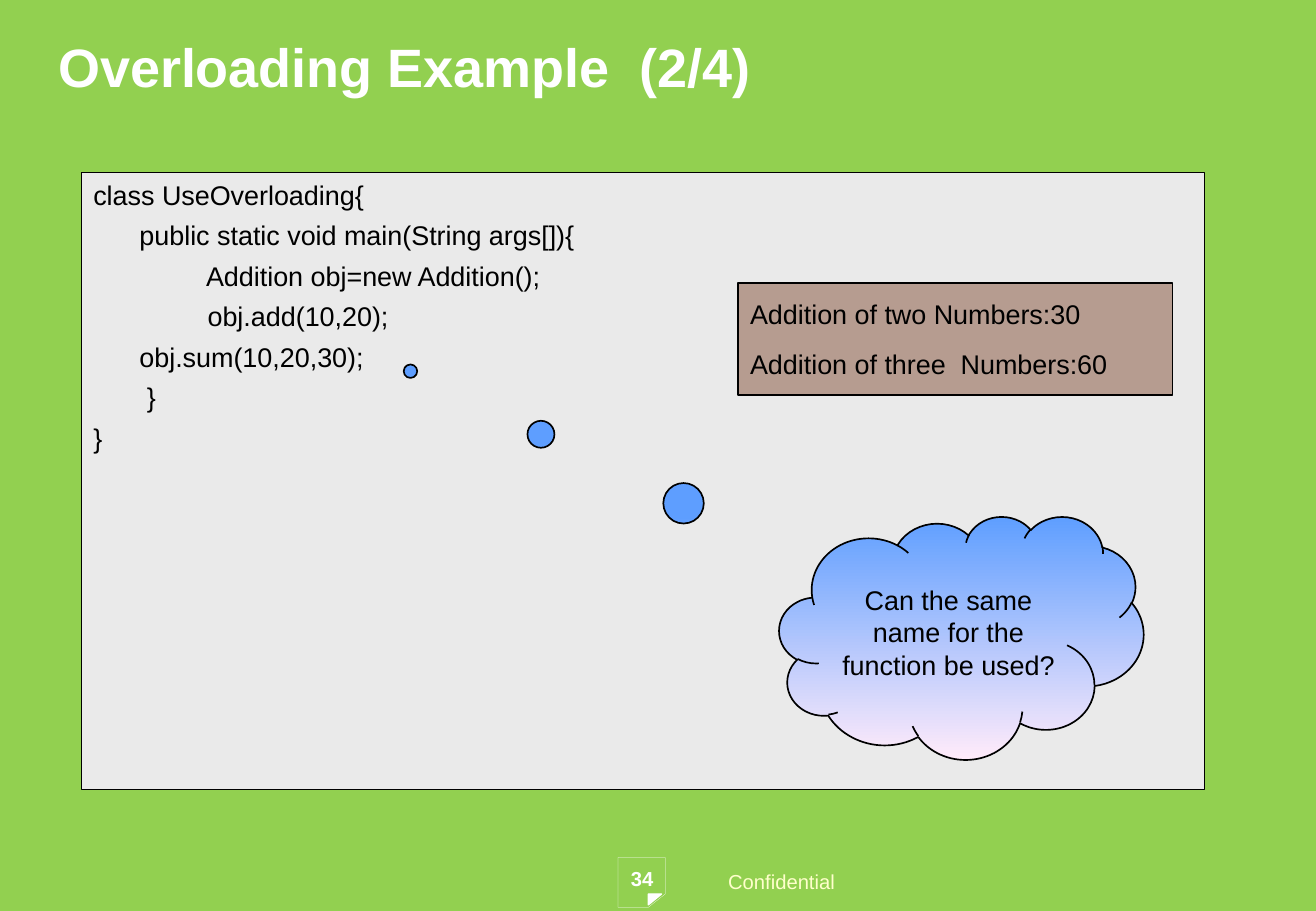
from lxml import etree
from pptx import Presentation
from pptx.dml.color import RGBColor
from pptx.enum.shapes import MSO_SHAPE
from pptx.enum.text import MSO_ANCHOR, PP_ALIGN
from pptx.oxml.ns import qn
from pptx.util import Inches, Pt

RECTANGLE, CLOUD = MSO_SHAPE.RECTANGLE, MSO_SHAPE.CLOUD_CALLOUT
TOP, MIDDLE = MSO_ANCHOR.TOP, MSO_ANCHOR.MIDDLE
LEFT, CENTER = PP_ALIGN.LEFT, PP_ALIGN.CENTER

GREEN = RGBColor(0x92, 0xD0, 0x50)
WHITE = RGBColor(0xFF, 0xFF, 0xFF)
BLACK = RGBColor(0, 0, 0)
CREAM = RGBColor(0xFF, 0xFF, 0xCC)
GREY = RGBColor(0xEA, 0xEA, 0xEA)
BROWN = RGBColor(0xB6, 0x9C, 0x90)
BLUE = RGBColor(0x5E, 0x9E, 0xFF)
PINK = RGBColor(0xFF, 0xEB, 0xFA)

TITLE = "Overloading Example  (2/4)"
CODE = [
    "class UseOverloading{",
    "   \tpublic static void main(String args[]){",
    "     \t\t Addition obj=new Addition();",
    "     \t\t obj.add(10,20);",
    "      \tobj.sum(10,20,30);",
    "  \t }",
    "}",
]
OUTPUT = ["Addition of two Numbers:30", "Addition of three  Numbers:60"]
QUESTION = "Can the same name for the function be used?"
PAGE_NUMBER = "34"
FOOTER = "Confidential"

CODE_INDENT = Inches(0.38)
TAB_STOPS = range(8)
PAGE_FRAME = [(5.48, 7.36), (5.48, 7.06), (5.09, 7.06), (5.09, 7.47), (5.34, 7.47)]
PAGE_FOLD = [(5.34, 7.45), (5.34, 7.36), (5.45, 7.36)]


def write(shape, lines, size=16, color=BLACK, bold=False, align=LEFT,
          anchor=TOP, gap=0, side_inset=0.1):
    frame = shape.text_frame
    frame.word_wrap = True
    frame.vertical_anchor = anchor
    frame.margin_left = frame.margin_right = Inches(side_inset)
    for number, line in enumerate(lines):
        paragraph = frame.add_paragraph() if number else frame.paragraphs[0]
        paragraph.alignment = align
        if number:
            paragraph.space_before = Pt(gap)
        run = paragraph.add_run()
        run.text = line
        for name, value in {"name": "Arial", "size": Pt(size), "bold": bold}.items():
            setattr(run.font, name, value)
        run.font.color.rgb = color
    return frame


def add_text(slide, place, lines, **style):
    return write(slide.shapes.add_textbox(*map(Inches, place)), lines, **style)


def add_box(slide, kind, place, line_width, fill=None):
    box = slide.shapes.add_shape(kind, *map(Inches, place))
    box.shadow.inherit = False
    if fill is not None:
        box.fill.solid()
        box.fill.fore_color.rgb = fill
    box.line.color.rgb = BLACK
    box.line.width = Pt(line_width)
    return box


def add_outline(slide, points, line_width, fill=None):
    corners = [(Inches(x), Inches(y)) for x, y in points]
    builder = slide.shapes.build_freeform(*corners[0])
    builder.add_line_segments(corners[1:], close=True)
    outline = builder.convert_to_shape()
    outline.shadow.inherit = False
    if fill is None:
        outline.fill.background()
    else:
        outline.fill.solid()
        outline.fill.fore_color.rgb = fill
    outline.line.color.rgb = WHITE
    outline.line.width = Pt(line_width)


def indent_code(frame):
    """Give each code line a hanging indent and one tab stop per inch."""
    for paragraph in frame.paragraphs:
        properties = paragraph._p.get_or_add_pPr()
        properties.set("marL", str(CODE_INDENT))
        properties.set("indent", str(-CODE_INDENT))
        tabs = etree.SubElement(properties, qn("a:tabLst"))
        for stop in TAB_STOPS:
            etree.SubElement(tabs, qn("a:tab"), pos=str(Inches(stop)), algn="l")


def shade_text(frame):
    """Add a drop shadow to the letters."""
    for run in frame.paragraphs[0].runs:
        effects = etree.Element(qn("a:effectLst"))
        shadow = etree.SubElement(effects, qn("a:outerShdw"), dist="17961", dir="2700000")
        etree.SubElement(shadow, qn("a:srgbClr"), val=str(BLACK))
        run._r.get_or_add_rPr().find(qn("a:solidFill")).addnext(effects)


def main():
    deck = Presentation()
    deck.slide_width, deck.slide_height = Inches(10.84), Inches(7.5)
    slide = deck.slides.add_slide(deck.slide_layouts[6])
    slide.background.fill.solid()
    slide.background.fill.fore_color.rgb = GREEN

    add_outline(slide, PAGE_FRAME, 0.11)
    add_outline(slide, PAGE_FOLD, 0.75, WHITE)
    shade_text(add_text(slide, (5.9, 7.11, 1.46, 0.3), [FOOTER], size=12, color=CREAM))
    shade_text(add_text(slide, (4.83, 7.08, 0.92, 0.4), [PAGE_NUMBER],
                        size=12, color=WHITE, bold=True, align=CENTER))
    add_text(slide, (0.38, 0.26, 10.16, 0.56), [TITLE],
             size=32, color=WHITE, bold=True, anchor=MIDDLE)

    code_panel = add_box(slide, RECTANGLE, (0.67, 1.42, 9.25, 5.08), 0.75, GREY)
    indent_code(write(code_panel, CODE, gap=4.8))

    output_panel = add_box(slide, RECTANGLE, (6.08, 2.33, 3.58, 0.92), 1, BROWN)
    write(output_panel, OUTPUT, anchor=MIDDLE, gap=10.6)

    cloud = add_box(slide, CLOUD, (6.42, 4.25, 3, 2), 1)
    cloud.adjustments[0], cloud.adjustments[1] = -1.513, -1.097
    cloud.fill.gradient()
    cloud.fill.gradient_angle = 270
    for stop, color in zip(cloud.fill.gradient_stops, (BLUE, PINK)):
        stop.color.rgb = color
    write(cloud, [QUESTION], align=CENTER, anchor=MIDDLE, side_inset=0)

    deck.save("out.pptx")


if __name__ == "__main__":
    main()
